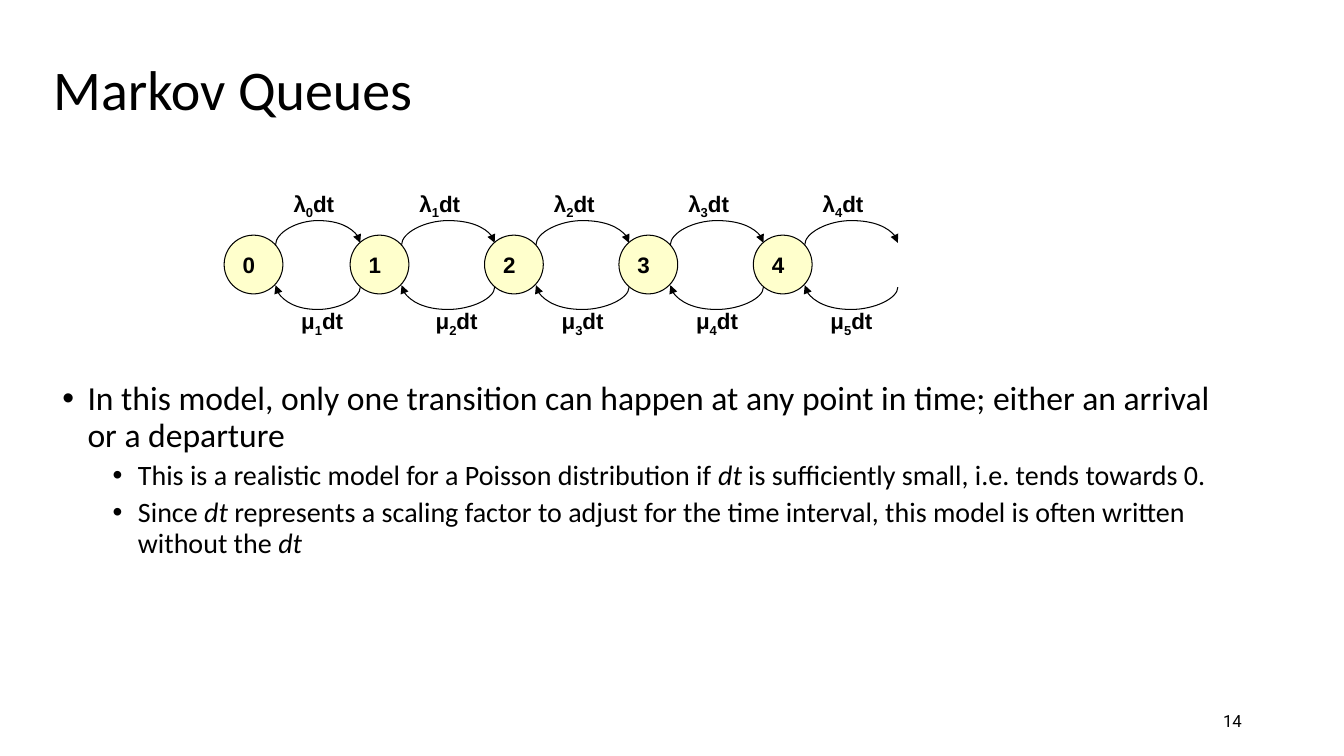
from lxml import etree
from pptx import Presentation
from pptx.dml.color import RGBColor
from pptx.enum.shapes import MSO_CONNECTOR, MSO_SHAPE
from pptx.enum.text import MSO_ANCHOR, MSO_AUTO_SIZE, PP_ALIGN
from pptx.oxml.ns import qn
from pptx.util import Inches, Pt

CURVE = MSO_CONNECTOR.CURVE
OVAL = MSO_SHAPE.OVAL
TOP, MIDDLE = MSO_ANCHOR.TOP, MSO_ANCHOR.MIDDLE
FIT, FIXED = MSO_AUTO_SIZE.SHAPE_TO_FIT_TEXT, MSO_AUTO_SIZE.NONE
LEFT, RIGHT = PP_ALIGN.LEFT, PP_ALIGN.RIGHT

THEME = {
    "ink": RGBColor(0, 0, 0),
    "state": RGBColor(0xFF, 0xFF, 0xCC),
    "text font": "Calibri",
    "diagram font": "Arial",
    "number font": "Roboto",
    "title": 40,
    "point": 24,
    "subpoint": 20,
    "diagram": 16,
    "number": 12,
    "line": 0.75,
}

presentation = Presentation()
presentation.slide_width = Inches(13.33)
presentation.slide_height = Inches(7.5)
slide = presentation.slides.add_slide(presentation.slide_layouts[6])
CELL = presentation.slide_width / 40


def cells(*counts):
    return [round(count * CELL) for count in counts]


def write(shape, runs, size, font=THEME["text font"], bold=False, anchor=TOP, align=LEFT,
          wrap=True, fit=FIXED, spacing=1.0, before=0, indent=None, level=0, first=True):
    frame = shape.text_frame
    frame.word_wrap = wrap
    frame.auto_size = fit
    frame.vertical_anchor = anchor
    paragraph = frame.paragraphs[0] if first else frame.add_paragraph()
    paragraph.alignment = align
    paragraph.line_spacing = spacing
    paragraph.space_before = Pt(before)
    paragraph.level = level
    if indent is not None:
        properties = paragraph._p.get_or_add_pPr()
        properties.set("marL", str(Inches(indent)))
        properties.set("indent", str(-Inches(0.25)))
        etree.SubElement(properties, qn("a:buFont"), typeface="Arial")
        etree.SubElement(properties, qn("a:buChar"), char="•")
    for text, style in runs:
        run = paragraph.add_run()
        run.text = text
        run.font.name = font
        run.font.size = Pt(size)
        run.font.bold = bold
        run.font.italic = style == "italic"
        run.font.color.rgb = THEME["ink"]
        if style == "subscript":
            run.font._element.set("baseline", "-25000")


number = slide.shapes.add_textbox(*cells(28.26, 20.85, 9, 1.2))
write(number, [("14", "")], THEME["number"], font=THEME["number font"], anchor=MIDDLE, align=RIGHT)

title = slide.shapes.add_textbox(*cells(1.29, 0.87, 24.75, 3.75))
write(title, [("Markov Queues", "")], THEME["title"], anchor=MIDDLE, spacing=0.9)

POINTS = [
    (0, [("In this model, only one transition can happen at any point in time; "
          "either an arrival or a departure", "")]),
    (1, [("This is a realistic model for a Poisson distribution if ", ""), ("dt", "italic"),
         (" is sufficiently small, i.e. tends towards 0.", "")]),
    (1, [("Since ", ""), ("dt", "italic"),
         (" represents a scaling factor to adjust for the time interval, "
          "this model is often written without the ", ""), ("dt", "italic")]),
]
body = slide.shapes.add_textbox(*cells(1.56, 11.22, 35.67, 6.78))
for order, (level, runs) in enumerate(POINTS):
    write(body, runs, THEME["subpoint" if level else "point"], spacing=0.9, before=5 * level,
          indent=0.25 + 0.5 * level, level=level, first=order == 0)

STATE_SIZE = 1.75
STATE_TOP = 7
STATE_LEFTS = [6.67] + [10.42 + 4 * step for step in range(5)]
DEATH_LABEL_SHIFTS = [2, 2.25, 2, 2, 2]
HALF_RISE = 0.03
BULGE = 0.72
DIAGRAM = {"size": THEME["diagram"], "font": THEME["diagram font"], "bold": True, "wrap": False}

for state, left in enumerate(STATE_LEFTS[:-1]):
    circle = slide.shapes.add_shape(OVAL, *cells(left, STATE_TOP, STATE_SIZE, STATE_SIZE))
    circle.shadow.inherit = False
    circle.fill.solid()
    circle.fill.fore_color.rgb = THEME["state"]
    circle.line.color.rgb = THEME["ink"]
    circle.line.width = Pt(THEME["line"])
    write(circle, [(str(state), "")], anchor=MIDDLE, **DIAGRAM)

    start, end = left + 1.53, STATE_LEFTS[state + 1] + 0.3
    middle, half_span = (start + end) / 2, (end - start) / 2
    transitions = [
        ("λ", state, 7.26, 1, 90, "a:tailEnd", left + 1.77, 5.5),
        ("μ", state + 1, 8.52, -1, 270, "a:headEnd", left + DEATH_LABEL_SHIFTS[state], 9),
    ]
    for rate, index, height, side, angle, arrowhead, label_left, label_top in transitions:
        arc = slide.shapes.add_connector(CURVE, *cells(
            middle + HALF_RISE, height + side * half_span,
            middle - HALF_RISE, height - side * half_span))
        arc.line.color.rgb = THEME["ink"]
        arc.line.width = Pt(THEME["line"])
        properties = arc._element.spPr
        properties.find(qn("a:xfrm")).set("rot", str(angle * 60000))
        adjustment = round(BULGE / (2 * HALF_RISE) * 100000)
        etree.SubElement(properties.find(qn("a:prstGeom")).find(qn("a:avLst")), qn("a:gd"),
                         name="adj1", fmla=f"val {adjustment}")
        etree.SubElement(properties.find(qn("a:ln")), qn(arrowhead), type="triangle")
        etree.SubElement(properties, qn("a:effectLst"))

        label = slide.shapes.add_textbox(*cells(label_left, label_top, 1.92, 1.1))
        write(label, [(rate, ""), (str(index), "subscript"), ("dt", "")], fit=FIT, **DIAGRAM)

presentation.save("out.pptx")
